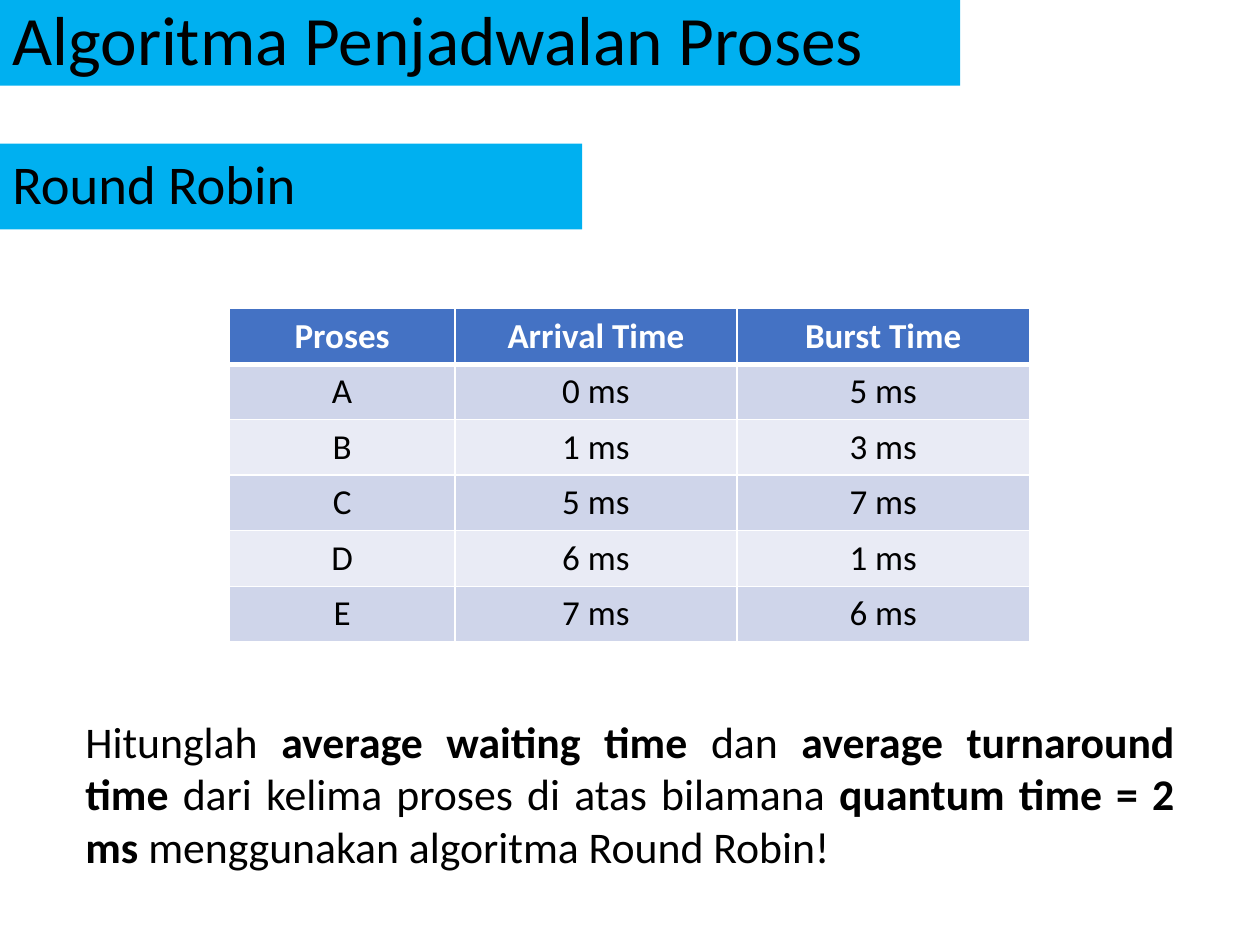
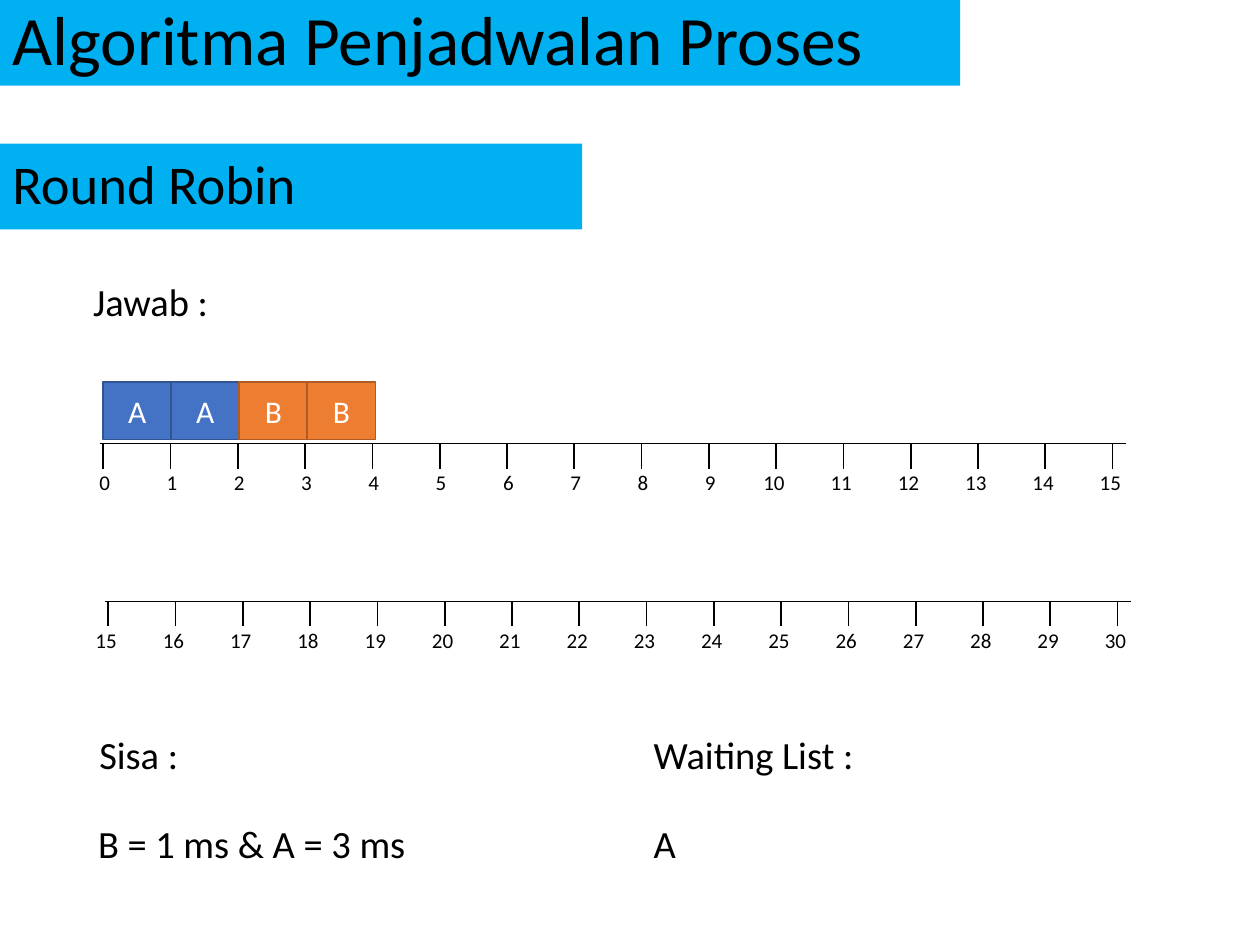
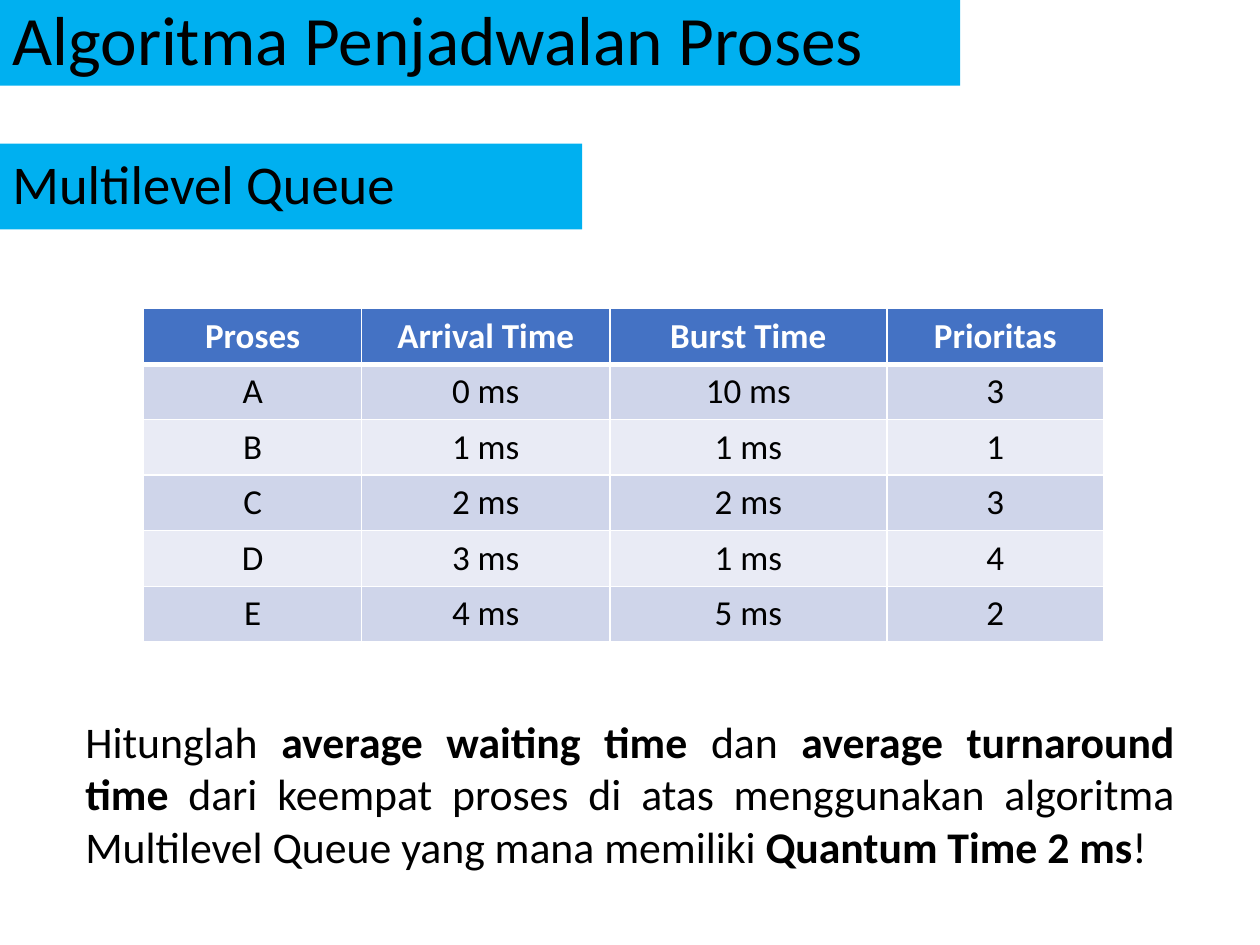
from dataclasses import dataclass

from lxml import etree
from pptx import Presentation
from pptx.dml.color import RGBColor
from pptx.enum.shapes import MSO_CONNECTOR, MSO_SHAPE
from pptx.enum.text import MSO_ANCHOR, MSO_AUTO_SIZE, PP_ALIGN
from pptx.oxml.ns import qn
from pptx.util import Inches, Pt

LEFT, CENTER, JUSTIFY = PP_ALIGN.LEFT, PP_ALIGN.CENTER, PP_ALIGN.JUSTIFY
MIDDLE, TOP = MSO_ANCHOR.MIDDLE, MSO_ANCHOR.TOP
RECT, STRAIGHT = MSO_SHAPE.RECTANGLE, MSO_CONNECTOR.STRAIGHT
GROW = MSO_AUTO_SIZE.SHAPE_TO_FIT_TEXT


@dataclass(frozen=True)
class Theme:
    font: str = "Calibri"
    text: str = "000000"
    white: str = "FFFFFF"
    band: str = "00B0F0"
    header: str = "4472C4"
    odd_row: str = "CFD5EA"
    even_row: str = "E9EBF5"
    title_size: float = 39.6
    subtitle_size: float = 31.2
    question_size: float = 25
    answer_size: float = 22
    table_size: float = 20
    block_size: float = 18
    tick_size: float = 12


T = Theme()

# Content: runs are (text, bold)
TITLE = "Algoritma Penjadwalan Proses"
ASK = [("Hitunglah ", False), ("average waiting time ", True), ("dan ", False),
       ("average turnaround time ", True)]

ROUND_ROBIN = dict(
    subtitle="Round Robin",
    left=1.82,
    widths=[1.79, 2.24, 2.32],
    rows=[("Proses", "Arrival Time", "Burst Time"),
          ("A", "0 ms", "5 ms"),
          ("B", "1 ms", "3 ms"),
          ("C", "5 ms", "7 ms"),
          ("D", "6 ms", "1 ms"),
          ("E", "7 ms", "6 ms")],
    question=ASK + [("dari kelima proses di atas bilamana ", False),
                    ("quantum time = 2 ms ", True),
                    ("menggunakan algoritma Round Robin!", False)])

MULTILEVEL_QUEUE = dict(
    subtitle="Multilevel Queue",
    left=1.14,
    widths=[1.73, 1.97, 2.2, 1.72],
    rows=[("Proses", "Arrival Time", "Burst Time", "Prioritas"),
          ("A", "0 ms", "10 ms", "3"),
          ("B", "1 ms", "1 ms", "1"),
          ("C", "2 ms", "2 ms", "3"),
          ("D", "3 ms", "1 ms", "4"),
          ("E", "4 ms", "5 ms", "2")],
    question=ASK + [("dari keempat proses di atas menggunakan algoritma "
                     "Multilevel Queue yang mana memiliki ", False),
                    ("Quantum Time 2 ms", True), ("!", False)])

SCHEDULE = "AABB"
PROCESS_COLORS = {"A": ("4472C4", "325491"), "B": ("ED7D31", "AF5C24")}  # fill, line
RULERS = [(0, 0.82, 3.52), (15, 0.86, 4.77)]  # first number, first tick x, y
RULER_STEPS, TICK_GAP, TICK_HEIGHT = 15, 0.534, 0.2
ANSWERS = [("Jawab :", 0.64, 2.16),
           ("Sisa :", 0.69, 5.75),
           ("Waiting List :", 5.09, 5.75),
           ("B = 1 ms & A = 3 ms", 0.68, 6.46),
           ("A", 5.09, 6.46)]


def rgb(color):
    return RGBColor.from_string(color)


def box(*lengths):
    return [Inches(v) for v in lengths]


def write(tf, runs, size, color=T.text, align=LEFT, anchor=TOP, spacing=None):
    tf.word_wrap = True
    tf.vertical_anchor = anchor
    p = tf.paragraphs[0]
    p.alignment = align
    if spacing:
        p.line_spacing = spacing
    for text, bold in runs:
        r = p.add_run()
        r.text = text
        r.font.name, r.font.size, r.font.bold = T.font, Pt(size), bold
        r.font.color.rgb = rgb(color)


def add_text(shapes, at, runs, size, align=LEFT):
    tf = shapes.add_textbox(*box(*at)).text_frame
    write(tf, runs, size, align=align)
    tf.auto_size = GROW


def add_rect(s, at, fill, line=None):
    sp = s.shapes.add_shape(RECT, *box(*at))
    sp.shadow.inherit = False
    sp.fill.solid()
    sp.fill.fore_color.rgb = rgb(fill)
    if line:
        sp.line.color.rgb = rgb(line)
        sp.line.width = Pt(1)
    else:
        sp.line.fill.background()
    return sp


def add_line(shapes, ends, width):
    line = shapes.add_connector(STRAIGHT, *box(*ends))
    line.line.color.rgb = rgb(T.text)
    line.line.width = Pt(width)
    etree.SubElement(line._element.spPr, qn("a:effectLst"))


def add_slide(prs, subtitle):
    """Blank slide with the title and subtitle bands."""
    s = prs.slides.add_slide(prs.slide_layouts[6])
    for text, top, width, size in [(TITLE, 0, 7.62, T.title_size),
                                   (subtitle, 1.14, 4.62, T.subtitle_size)]:
        sp = add_rect(s, (0, top, width, 0.68), T.band)
        write(sp.text_frame, [(text, False)], size, anchor=MIDDLE, spacing=0.9)
    return s


def set_borders(cell, top, bottom):
    tc_pr = cell._tc.get_or_add_tcPr()
    for side, width in (("L", 1), ("R", 1), ("T", top), ("B", bottom)):
        ln = etree.SubElement(tc_pr, qn(f"a:ln{side}"), w=str(Pt(width)))
        fill = etree.SubElement(ln, qn("a:solidFill"))
        etree.SubElement(fill, qn("a:srgbClr"), val=T.white)


def add_process_table(s, rows, widths, left):
    row_height = 0.44
    table = s.shapes.add_table(len(rows), len(widths), *box(
        left, 2.45, sum(widths), row_height * len(rows))).table
    for column, width in zip(table.columns, widths):
        column.width = Inches(width)
    for i, row in enumerate(rows):
        head = i == 0
        fill = T.header if head else T.odd_row if i % 2 else T.even_row
        for j, text in enumerate(row):
            cell = table.cell(i, j)
            set_borders(cell, 3 if i == 1 else 1, 3 if head else 1)
            cell.fill.solid()
            cell.fill.fore_color.rgb = rgb(fill)
            write(cell.text_frame, [(text, head)], T.table_size,
                  T.white if head else T.text, CENTER)


def add_question_slide(prs, problem):
    s = add_slide(prs, problem["subtitle"])
    add_process_table(s, problem["rows"], problem["widths"], problem["left"])
    add_text(s.shapes, (0.58, 5.62, 8.84, 1.36), problem["question"],
             T.question_size, JUSTIFY)


def add_ruler(s, first, left, y):
    shapes = s.shapes.add_group_shape().shapes
    start = left - 0.03
    add_line(shapes, (start, y, start + 8.15, y), 0.5)
    for i in range(RULER_STEPS + 1):
        x = left + i * TICK_GAP
        add_line(shapes, (x, y, x, y + TICK_HEIGHT), 1)
        label = str(first + i)
        shift, width = (0.13, 0.33) if len(label) == 1 else (0.2, 0.4)
        add_text(shapes, (x - shift, y + 0.16, width, 0.3),
                 [(label, False)], T.tick_size)


def add_answer_slide(prs):
    s = add_slide(prs, ROUND_ROBIN["subtitle"])
    for ruler in RULERS:
        add_ruler(s, *ruler)
    # Gantt blocks, one per millisecond
    for i, process in enumerate(SCHEDULE):
        sp = add_rect(s, (0.82 + i * 0.54, 3.03, 0.54, 0.46), *PROCESS_COLORS[process])
        write(sp.text_frame, [(process, False)], T.block_size, T.white, CENTER, MIDDLE)
    for text, left, top in ANSWERS:
        add_text(s.shapes, (left, top, 3, 0.47), [(text, False)],
                 T.answer_size, JUSTIFY)


def main():
    prs = Presentation()
    prs.slide_width, prs.slide_height = Inches(10), Inches(7.5)
    add_question_slide(prs, ROUND_ROBIN)
    add_answer_slide(prs)
    add_question_slide(prs, MULTILEVEL_QUEUE)
    prs.save("out.pptx")


if __name__ == "__main__":
    main()
